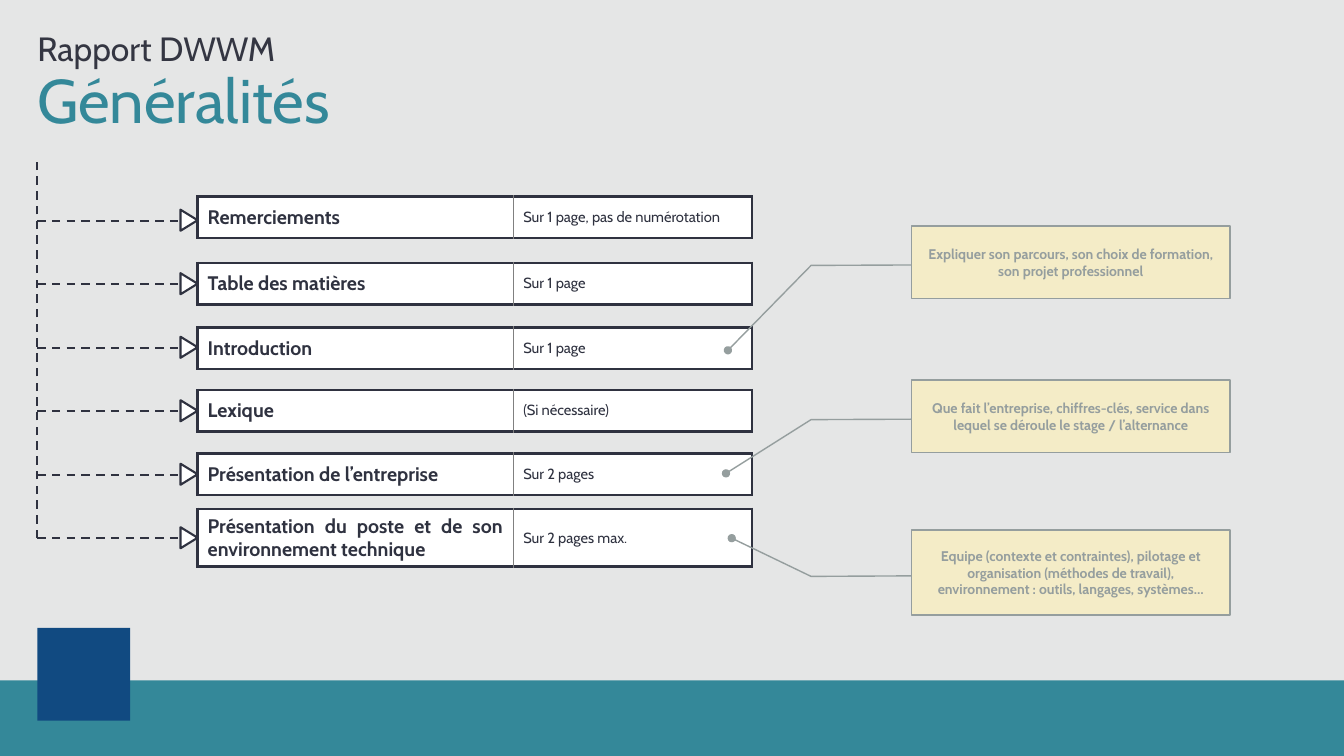
from lxml import etree
from pptx import Presentation
from pptx.dml.color import RGBColor
from pptx.enum.dml import MSO_LINE
from pptx.enum.shapes import MSO_CONNECTOR, MSO_SHAPE
from pptx.enum.text import MSO_ANCHOR, MSO_AUTO_SIZE, PP_ALIGN
from pptx.oxml.ns import qn
from pptx.util import Inches, Pt

STRAIGHT = MSO_CONNECTOR.STRAIGHT
DASH = MSO_LINE.DASH
RECTANGLE = MSO_SHAPE.RECTANGLE
TRIANGLE = MSO_SHAPE.FLOWCHART_EXTRACT
CALLOUT = MSO_SHAPE.LINE_CALLOUT_2
TOP, MIDDLE, BOTTOM = MSO_ANCHOR.TOP, MSO_ANCHOR.MIDDLE, MSO_ANCHOR.BOTTOM
LEFT, CENTER, JUSTIFY = PP_ALIGN.LEFT, PP_ALIGN.CENTER, PP_ALIGN.JUSTIFY

FONT = "Cabin"
GREY, TEAL, NAVY, WHITE = "E5E6E6", "348899", "114A81", "FFFFFF"
INK, HEADING, DIVIDER = "2F3240", "343642", "808080"
NOTE_FILL, NOTE_INK = "F4ECC7", "959E9E"

MARGIN = 0.37
SECTION_LEFT = 1.96
COLUMN_WIDTHS = (3.13, 2.37)
ARROW_TOP, ARROW_STEP = 2.19, 0.63

# top, height, section, length
SECTIONS = [
    (1.95, 0.41, "Remerciements", "Sur 1 page, pas de numérotation"),
    (2.61, 0.41, "Table des matières", "Sur 1 page"),
    (3.25, 0.41, "Introduction", "Sur 1 page"),
    (3.87, 0.41, "Lexique", "(Si nécessaire)"),
    (4.5, 0.41, "Présentation de l’entreprise", "Sur 2 pages"),
    (5.05, 0.57, "Présentation du poste et de son environnement technique", "Sur 2 pages max."),
]

# top, height, pointer end (down, across, as shares of the box), text
NOTES = [
    (2.24, 0.72, 1.715, 1.576,
     "Expliquer son parcours, son choix de formation, son projet professionnel"),
    (3.77, 0.72, 1.286, 1.582,
     "Que fait l’entreprise, chiffres-clés, service dans lequel se déroule le stage / l’alternance"),
    (5.26, 0.84, 0.095, 1.564,
     "Equipe (contexte et contraintes), pilotage et organisation (méthodes de travail), "
     "environnement : outils, langages, systèmes…"),
]


def rgb(color):
    return RGBColor.from_string(color)


def write(para, text, size, color, bold=False, align=LEFT):
    para.alignment = align
    span = para.add_run()
    span.text = text
    span.font.name = FONT
    span.font.size = Pt(size)
    span.font.bold = bold
    span.font.color.rgb = rgb(color)


def add_box(page, kind, box, fill, line=None, width=1):
    shape = page.shapes.add_shape(kind, *map(Inches, box))
    shape.shadow.inherit = False
    shape.fill.solid()
    shape.fill.fore_color.rgb = rgb(fill)
    if line:
        shape.line.color.rgb = rgb(line)
        shape.line.width = Pt(width)
    else:
        shape.line.fill.background()
    return shape


def add_dashes(page, start, end):
    dashes = page.shapes.add_connector(STRAIGHT, *map(Inches, start + end))
    dashes.line.color.rgb = rgb(INK)
    dashes.line.width = Pt(1.5)
    dashes.line.dash_style = DASH
    etree.SubElement(dashes._element.spPr, qn("a:effectLst"))


def fill_placeholder(holder, box, text, size, color, anchor):
    holder.left, holder.top, holder.width, holder.height = map(Inches, box)
    frame = holder.text_frame
    frame.margin_left = frame.margin_right = frame.margin_top = frame.margin_bottom = 0
    frame.auto_size = MSO_AUTO_SIZE.NONE
    frame.vertical_anchor = anchor
    para = frame.paragraphs[0]
    para.line_spacing = 0.9
    para.space_before = Pt(0)
    settings = para._p.get_or_add_pPr()
    settings.set("marL", "0")
    settings.set("indent", "0")
    etree.SubElement(settings, qn("a:buNone"))
    write(para, text, size, color)


def add_heading(page):
    fill_placeholder(page.shapes.title, (MARGIN, 0.7, 12.64, 0.67), "Généralités", 44, TEAL, TOP)
    fill_placeholder(page.placeholders[1], (MARGIN, 0.21, 12.64, 0.47),
                     "Rapport DWWM", 24, HEADING, BOTTOM)


def add_footer(page):
    add_box(page, RECTANGLE, (0, 6.75, 13.33, 0.75), TEAL)
    add_box(page, RECTANGLE, (MARGIN, 6.23, 0.92, 0.92), NAVY)


def add_arrows(page):
    """Draw the dashed spine and one arrow to each section."""
    last = ARROW_TOP + ARROW_STEP * (len(SECTIONS) - 1)
    add_dashes(page, (MARGIN, last), (MARGIN, 1.57))
    for index in range(len(SECTIONS)):
        y = ARROW_TOP + ARROW_STEP * index
        add_dashes(page, (MARGIN, y), (SECTION_LEFT, y))
        head = add_box(page, TRIANGLE, (1.77, y - 0.09, 0.21, 0.17), WHITE, INK, 1.5)
        head.rotation = 90


def set_borders(cell, divider):
    """Edge the cell in ink, except for the thin divider on the given side."""
    settings = cell._tc.get_or_add_tcPr()
    for side in "LRTB":
        color, points = (DIVIDER, 1) if side == divider else (INK, 2.25)
        edge = etree.SubElement(settings, qn(f"a:ln{side}"), w=str(Pt(points)))
        solid = etree.SubElement(edge, qn("a:solidFill"))
        etree.SubElement(solid, qn("a:srgbClr"), val=color)


def add_section(page, top, height, name, length):
    box = (SECTION_LEFT, top, sum(COLUMN_WIDTHS), height)
    table = page.shapes.add_table(1, 2, *map(Inches, box)).table
    table.first_row = table.horz_banding = False
    for column, width in zip(table.columns, COLUMN_WIDTHS):
        column.width = Inches(width)
    name_cell, length_cell = table.cell(0, 0), table.cell(0, 1)
    for cell, divider in ((name_cell, "R"), (length_cell, "L")):
        set_borders(cell, divider)
        cell.fill.solid()
        cell.fill.fore_color.rgb = rgb(WHITE)
        cell.vertical_anchor = MIDDLE
    write(name_cell.text_frame.paragraphs[0], name, 14, INK, True, JUSTIFY)
    write(length_cell.text_frame.paragraphs[0], length, 10.5, INK)


def add_note(page, top, height, down, across, text):
    note = add_box(page, CALLOUT, (9.04, top, 3.16, height), NOTE_FILL, NOTE_INK)
    note._element.spPr.find(qn("a:xfrm")).set("flipH", "1")
    for index, share in enumerate((0.54, 1.002, 0.546, 1.315, down, across)):
        note.adjustments[index] = share
    etree.SubElement(note.line._get_or_add_ln(), qn("a:tailEnd"), type="oval")
    frame = note.text_frame
    frame.word_wrap = True
    frame.vertical_anchor = MIDDLE
    write(frame.paragraphs[0], text, 10, NOTE_INK, True, CENTER)


def main():
    deck = Presentation()
    deck.slide_width, deck.slide_height = Inches(13.33), Inches(7.5)
    page = deck.slides.add_slide(deck.slide_layouts[1])
    page.background.fill.solid()
    page.background.fill.fore_color.rgb = rgb(GREY)
    add_footer(page)
    add_heading(page)
    add_arrows(page)
    for section in SECTIONS:
        add_section(page, *section)
    for note in NOTES:
        add_note(page, *note)
    deck.save("out.pptx")


if __name__ == "__main__":
    main()
